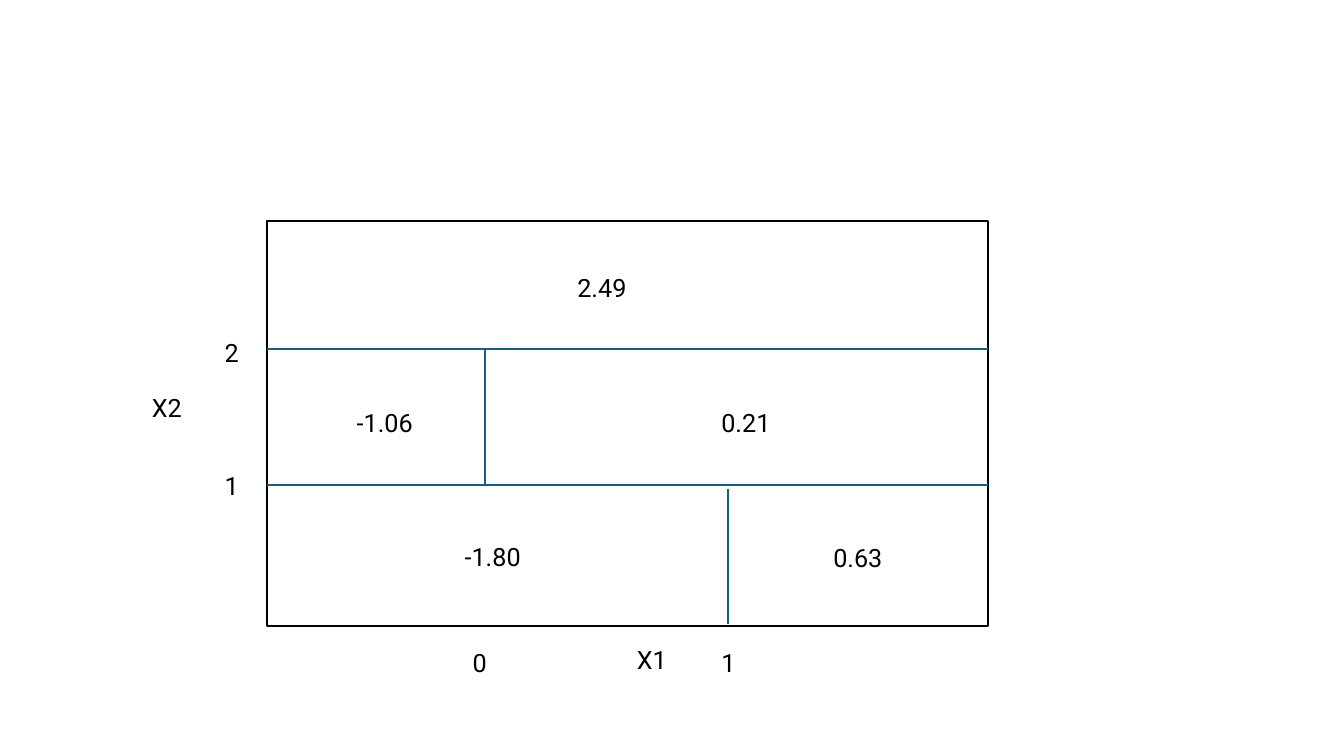
from dataclasses import dataclass

from lxml.etree import SubElement
from pptx import Presentation
from pptx.dml.color import RGBColor
from pptx.enum.shapes import MSO_CONNECTOR as Connector, MSO_SHAPE as Preset
from pptx.enum.text import MSO_AUTO_SIZE as AutoSize
from pptx.oxml.ns import qn
from pptx.shapes.group import GroupShape
from pptx.util import Cm, Pt

BLACK = RGBColor(0x00, 0x00, 0x00)
WHITE = RGBColor(0xFF, 0xFF, 0xFF)
BLUE = RGBColor(0x15, 0x60, 0x82)

FONT = "Roboto"
FONT_SIZE = Pt(18)
LINE_WIDTH = Pt(1.5)
LABEL_WIDTH, LABEL_HEIGHT = 3.48, 1.02

LEFT, TOP, WIDTH, HEIGHT = 6.73, 5.56, 18.16, 10.21
RIGHT = LEFT + WIDTH
UPPER_SPLIT, LOWER_SPLIT = 8.79, 12.22
SPLIT_LENGTH = 3.4
X2_TICK_LEFT = 5.41
X1_TICK_TOP = 16.18
MIDDLE_ROW_TOP = 10.13
RIGHT_COLUMN = 17.93


@dataclass(frozen=True)
class Split:
    start_x: float
    start_y: float
    end_x: float
    end_y: float


@dataclass(frozen=True)
class Label:
    text: str
    left: float
    top: float


SPLITS = [
    Split(LEFT, UPPER_SPLIT, RIGHT, UPPER_SPLIT),
    Split(LEFT, LOWER_SPLIT, RIGHT, LOWER_SPLIT),
    Split(12.22, UPPER_SPLIT + SPLIT_LENGTH, 12.22, UPPER_SPLIT),
    Split(18.34, 12.32 + SPLIT_LENGTH, 18.34, 12.32),
]

LABELS = [
    Label("X2", 3.58, 9.75),
    Label("X1", 15.8, 16.1),
    Label("2.49", 14.3, 6.73),
    Label("-1.06", 8.74, MIDDLE_ROW_TOP),
    Label("0.63", 20.75, 13.54),
    Label("-1.80", 11.46, 13.51),
    Label("0.21", RIGHT_COLUMN, MIDDLE_ROW_TOP),
    Label("2", X2_TICK_LEFT, 8.38),
    Label("1", X2_TICK_LEFT, 11.73),
    Label("1", RIGHT_COLUMN, X1_TICK_TOP),
    Label("0", 11.66, X1_TICK_TOP),
]


def draw_frame(group: GroupShape) -> None:
    shape = group.shapes.add_shape(
        Preset.RECTANGLE, Cm(LEFT), Cm(TOP), Cm(WIDTH), Cm(HEIGHT)
    )
    shape.shadow.inherit = False
    shape.fill.solid()
    shape.fill.fore_color.rgb = WHITE
    shape.line.color.rgb = BLACK
    shape.line.width = LINE_WIDTH


def draw_split(group: GroupShape, split: Split) -> None:
    connector = group.shapes.add_connector(
        Connector.STRAIGHT,
        Cm(split.start_x),
        Cm(split.start_y),
        Cm(split.end_x),
        Cm(split.end_y),
    )
    connector.line.color.rgb = BLUE
    connector.line.width = LINE_WIDTH
    SubElement(connector._element.spPr, qn("a:effectLst"))


def draw_label(group: GroupShape, label: Label) -> None:
    shape = group.shapes.add_textbox(
        Cm(label.left), Cm(label.top), Cm(LABEL_WIDTH), Cm(LABEL_HEIGHT)
    )
    text_frame = shape.text_frame
    text_frame.word_wrap = True
    text_frame.auto_size = AutoSize.SHAPE_TO_FIT_TEXT
    text_frame.text = label.text
    font = text_frame.paragraphs[0].runs[0].font
    font.name = FONT
    font.size = FONT_SIZE
    font.color.rgb = BLACK


def main() -> None:
    presentation = Presentation()
    presentation.slide_width = Cm(33.87)
    presentation.slide_height = Cm(19.05)
    slide = presentation.slides.add_slide(presentation.slide_layouts[6])
    group = slide.shapes.add_group_shape()
    draw_frame(group)
    for split in SPLITS:
        draw_split(group, split)
    for label in LABELS:
        draw_label(group, label)
    presentation.save("out.pptx")


if __name__ == "__main__":
    main()
